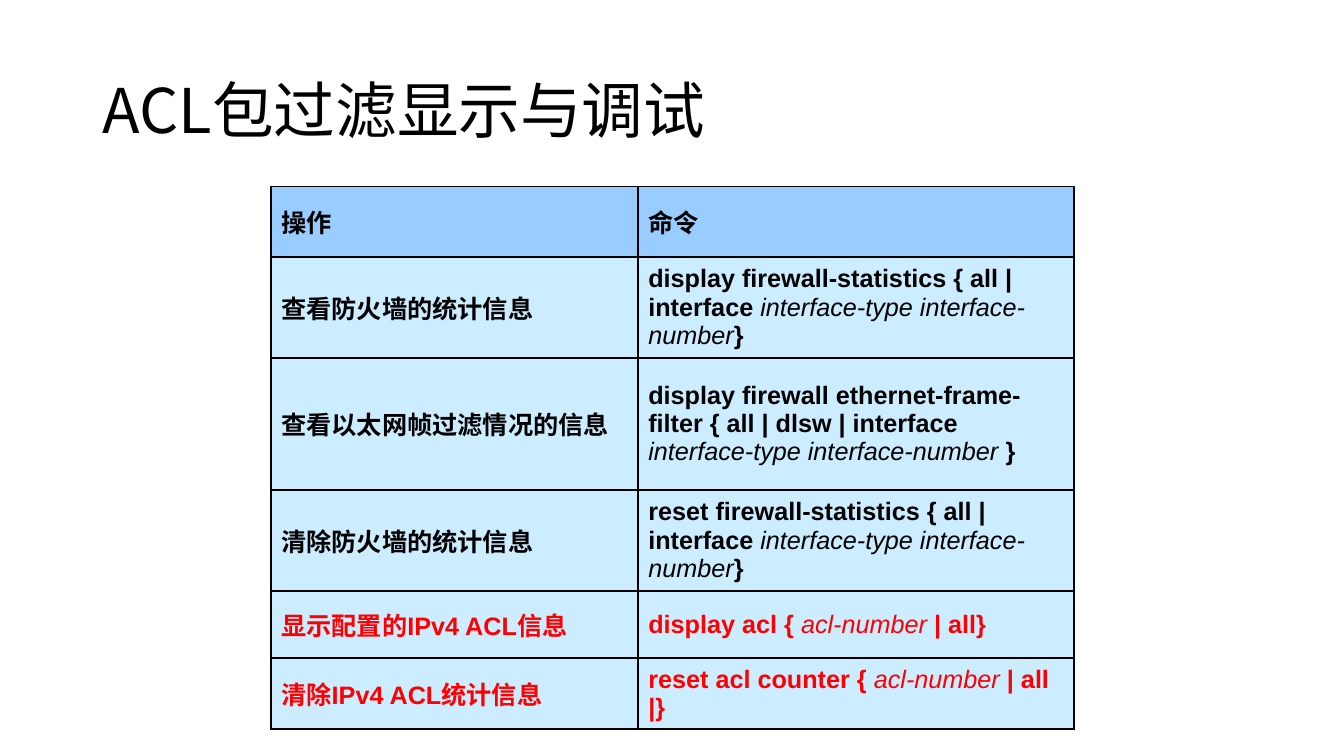
from lxml.etree import SubElement
from pptx import Presentation
from pptx.dml.color import RGBColor
from pptx.enum.text import MSO_ANCHOR as Anchor
from pptx.oxml.ns import qn
from pptx.util import Inches, Pt

CJK_FONT = "Noto Sans CJK SC"
BLACK, RED = "000000", "FF0000"
HEADER_FILL, BODY_FILL = "99CCFF", "CCECFF"
COLUMN_WIDTHS = [3.64, 4.32]
ROW_HEIGHTS = [0.7, 1, 1.31, 1, 0.67, 0.57]
INTERFACE = "interface-type interface-number"
COMMANDS = [
    ("操作", ["命令"], BLACK),
    ("查看防火墙的统计信息",
     ["display firewall-statistics { all | interface ", INTERFACE, "}"], BLACK),
    ("查看以太网帧过滤情况的信息",
     ["display firewall ethernet-frame-filter { all | dlsw | interface ",
      INTERFACE, " }"], BLACK),
    ("清除防火墙的统计信息",
     ["reset firewall-statistics { all | interface ", INTERFACE, "}"], BLACK),
    ("显示配置的IPv4 ACL信息",
     ["display acl { ", "acl-number", " | all}"], RED),
    ("清除IPv4 ACL统计信息",
     ["reset acl counter { ", "acl-number ", "| all |}"], RED),
]


def color(value):
    return RGBColor.from_string(value)


def style_span(span, size, latin, tint):
    span.font.size = Pt(size)
    span.font.name = latin
    span.font.color.rgb = color(tint)
    east_asian = SubElement(span.font._element, qn("a:ea"))
    east_asian.set("typeface", CJK_FONT)


def add_borders(cell, tint, width):
    properties = cell._tc.get_or_add_tcPr()
    for side in ("lnL", "lnR", "lnT", "lnB"):
        line = SubElement(properties, qn(f"a:{side}"), w=str(Pt(width)))
        fill = SubElement(line, qn("a:solidFill"))
        SubElement(fill, qn("a:srgbClr"), val=tint)


def fill_cell(cell, parts, tint, background):
    add_borders(cell, BLACK, 1.5)
    cell.fill.solid()
    cell.fill.fore_color.rgb = color(background)
    cell.vertical_anchor = Anchor.MIDDLE
    para = cell.text_frame.paragraphs[0]
    for index, part in enumerate(parts):
        span = para.add_run()
        span.text = part
        is_argument = index % 2 == 1
        span.font.bold = not is_argument
        span.font.italic = is_argument
        style_span(span, 18, "Arial", tint)


def add_title(page, text, box):
    frame = page.shapes.add_textbox(*map(Inches, box)).text_frame
    frame.word_wrap = True
    frame.vertical_anchor = Anchor.MIDDLE
    frame.text = text
    para = frame.paragraphs[0]
    para.line_spacing = 0.9
    style_span(para.runs[0], 44, CJK_FONT, BLACK)


def add_command_table(page, box):
    table = page.shapes.add_table(
        len(ROW_HEIGHTS), len(COLUMN_WIDTHS), *map(Inches, box)).table
    for column, width in zip(table.columns, COLUMN_WIDTHS):
        column.width = Inches(width)
    for row, height in zip(table.rows, ROW_HEIGHTS):
        row.height = Inches(height)
    for index, (operation, command, tint) in enumerate(COMMANDS):
        background = BODY_FILL if index else HEADER_FILL
        fill_cell(table.cell(index, 0), [operation], tint, background)
        fill_cell(table.cell(index, 1), command, tint, background)


def main():
    deck = Presentation()
    deck.slide_width, deck.slide_height = Inches(13.33), Inches(7.5)
    page = deck.slides.add_slide(deck.slide_layouts[6])
    add_title(page, "ACL包过滤显示与调试", (0.92, 0.4, 11.5, 1.45))
    add_command_table(
        page, (2.69, 1.85, sum(COLUMN_WIDTHS), sum(ROW_HEIGHTS)))
    deck.save("out.pptx")


if __name__ == "__main__":
    main()
